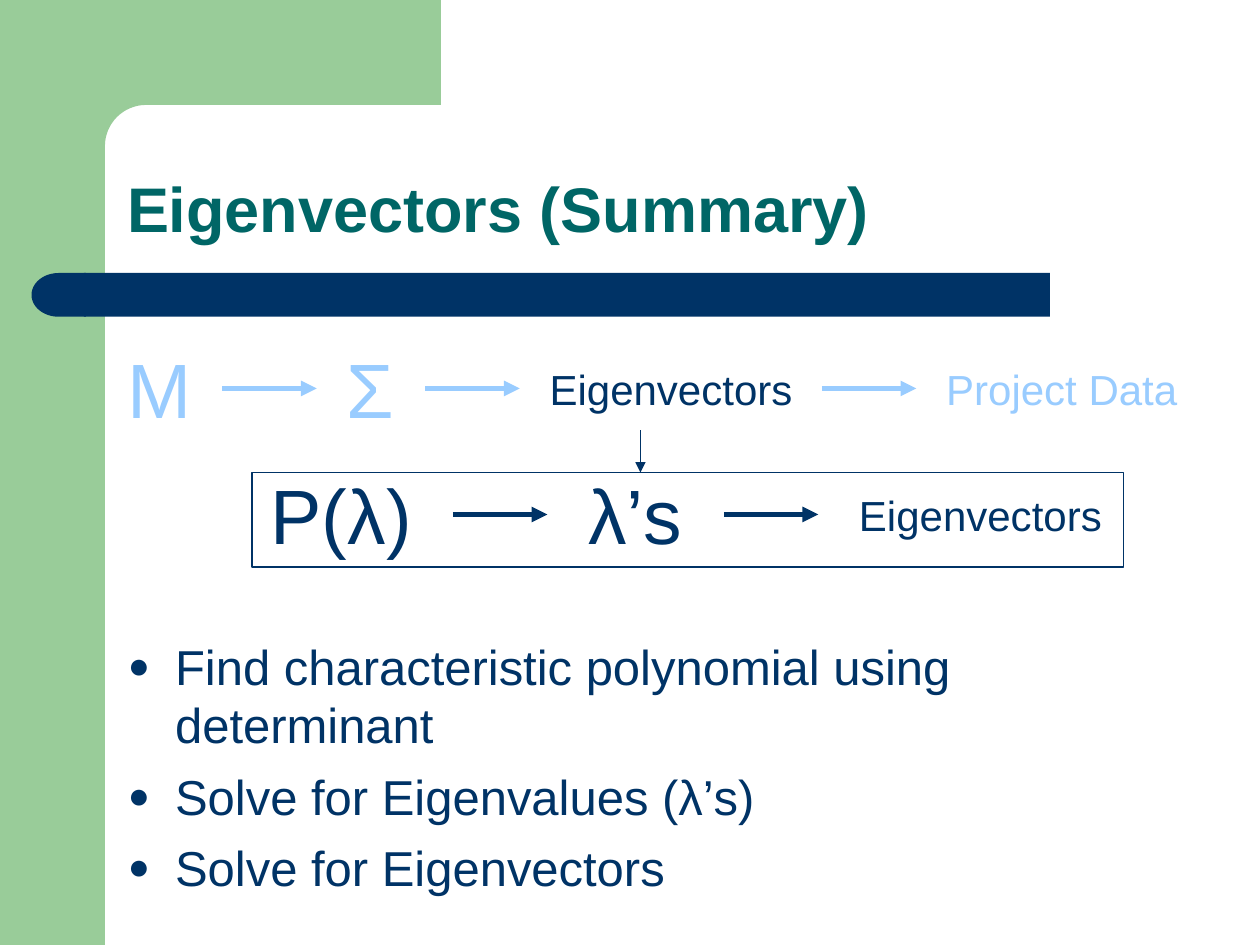
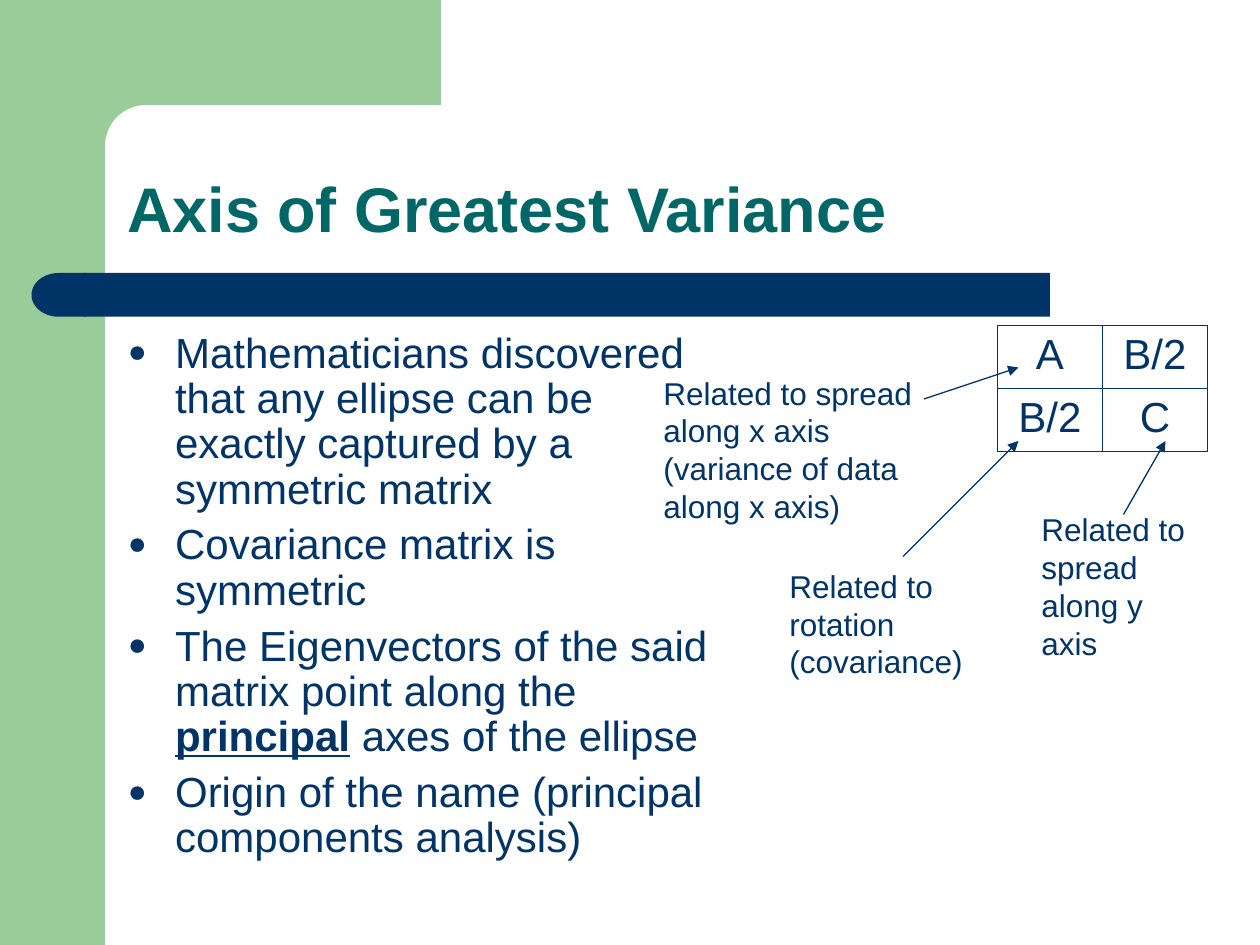
"""Build two lecture slides on eigenvectors and the axis of greatest variance."""
from math import cos, pi, sin

from lxml import etree
from pptx import Presentation
from pptx.dml.color import RGBColor
from pptx.enum.shapes import MSO_CONNECTOR, MSO_SHAPE
from pptx.enum.text import MSO_ANCHOR, PP_ALIGN
from pptx.oxml.ns import qn
from pptx.util import Pt

RECTANGLE, DELAY = MSO_SHAPE.RECTANGLE, MSO_SHAPE.FLOWCHART_DELAY
STRAIGHT = MSO_CONNECTOR.STRAIGHT
TOP, BOTTOM = MSO_ANCHOR.TOP, MSO_ANCHOR.BOTTOM
LEFT, CENTER = PP_ALIGN.LEFT, PP_ALIGN.CENTER

COLORS = {"green": "99CC99", "navy": "003366", "teal": "006666", "pale": "99CCFF"}
FONT = "Arial"
WIDTH, HEIGHT = 720, 540

SUMMARY = {
    "title": "Eigenvectors (Summary)",
    "bullets": ["Find characteristic polynomial using determinant",
                "Solve for Eigenvalues (λ’s)",
                "Solve for Eigenvectors"],
    "flows": [
        {"left": 66, "middle": 222, "gap": 10, "arrow": "pale",
         "steps": [("M", 51, 44, "pale"), ("Σ", 42, 44, "pale"),
                   ("Eigenvectors", 152.6, 24, "navy"), ("Project Data", 146, 24, "pale")]},
        {"left": 147.6, "middle": 294, "gap": 16.2, "arrow": "navy",
         "steps": [("P(λ)", 95, 44, "navy"), ("λ’s", 68.4, 44, "navy"),
                   ("Eigenvectors", 152.6, 24, "navy")]},
    ],
}
VARIANCE = {
    "title": "Axis of Greatest Variance",
    "bullets": ["Mathematicians discovered that any ellipse can be exactly captured by a symmetric matrix",
                "Covariance matrix is symmetric",
                "The Eigenvectors of the said matrix point along the *principal* axes of the ellipse",
                "Origin of the name (principal components analysis)"],
    "matrix": [["A", "B/2"], ["B/2", "C"]],
    "remarks": [
        ("Related to spread along x axis (variance of data along x axis)",
         (372, 210, 168, 94), (528, 228), (582, 210)),
        ("Related to spread along y axis", (588, 288, 108, 94), (642, 294), (666, 252)),
        ("Related to rotation (covariance)", (444, 320.4, 126, 72), (516, 318), (582, 252)),
    ],
}


def points(values):
    return [Pt(value) for value in values]


def color(name):
    return RGBColor.from_string(COLORS[name])


def add_child(parent, tag, **attributes):
    return etree.SubElement(parent, qn(tag), attributes)


def write(frame, text, size=18, ink="navy", bold=False, align=LEFT, anchor=TOP,
          line=1.0, before=0, bullet=False):
    frame.word_wrap = True
    frame.vertical_anchor = anchor
    for number, content in enumerate(text.split("\n")):
        paragraph = frame.add_paragraph() if number else frame.paragraphs[0]
        paragraph.alignment = align
        paragraph.line_spacing = line
        paragraph.space_before = Pt(before)
        for part, words in enumerate(content.split("*")):
            stressed = part % 2 == 1
            run = paragraph.add_run()
            run.text = words
            run.font.name = FONT
            run.font.size = Pt(size)
            run.font.bold = bold or stressed
            run.font.underline = stressed
            run.font.color.rgb = color(ink)
        if bullet:
            properties = paragraph._p.get_or_add_pPr()
            properties.set("marL", str(Pt(27)))
            properties.set("indent", str(-Pt(27)))
            add_child(add_child(properties, "a:buClr"), "a:srgbClr", val=COLORS["navy"])
            add_child(properties, "a:buSzPct", val="75000")
            add_child(properties, "a:buFont", typeface=FONT)
            add_child(properties, "a:buChar", char="●")


def add_text(slide, box, text, **style):
    write(slide.shapes.add_textbox(*points(box)).text_frame, text, **style)


def paint(shape, fill):
    shape.shadow.inherit = False
    shape.fill.solid()
    shape.fill.fore_color.rgb = color(fill)
    shape.line.fill.background()


def add_arrow(slide, start, end, ink="navy", weight=0.75):
    arrow = slide.shapes.add_connector(STRAIGHT, *points(start + end))
    arrow.line.color.rgb = color(ink)
    arrow.line.width = Pt(weight)
    add_child(arrow.line._get_or_add_ln(), "a:tailEnd", type="triangle")
    add_child(arrow._element.spPr, "a:effectLst")


def add_corner(slide):
    center, radius, steps = 83.5, 23.5, 16
    angles = [pi / 2 * step / steps for step in range(steps + 1)]
    curve = [(center - radius * sin(a), center - radius * cos(a)) for a in angles]
    outline = [(252, 60)] + curve + [(60, 92), (36, 92), (36, 0)]
    builder = slide.shapes.build_freeform(Pt(252), 0)
    builder.add_line_segments([points(point) for point in outline])
    paint(builder.convert_to_shape(), "green")


def add_slide(deck, title, bullets, body, **body_style):
    slide = deck.slides.add_slide(deck.slide_layouts[6])
    paint(slide.shapes.add_shape(RECTANGLE, *points((0, 0, 60, HEIGHT))), "green")
    add_corner(slide)
    paint(slide.shapes.add_shape(RECTANGLE, *points((48, 156, 552, 25))), "navy")
    band_end = slide.shapes.add_shape(DELAY, *points((18, 156, 31, 25)))
    band_end.rotation = 180
    paint(band_end, "navy")
    add_text(slide, (65.5, 65.5, 613, 78.5), title, size=36, ink="teal", bold=True,
             anchor=BOTTOM, line=0.9)
    add_text(slide, body, "\n".join(bullets), bullet=True, **body_style)
    return slide


def add_flow(slide, left, middle, gap, arrow, steps):
    arrow_length, slack = 54, 5
    for number, (label, width, size, ink) in enumerate(steps):
        if number:
            start = left + gap
            left = start + arrow_length + gap
            add_arrow(slide, (start, middle), (start + arrow_length, middle), arrow, 3)
        height = 60.5 if size == 44 else 36
        add_text(slide, (left, middle - height / 2, width + slack, height), label,
                 size=size, ink=ink)
        left += width


def add_matrix(slide, rows):
    size = len(rows)
    table = slide.shapes.add_table(size, size, *points((570, 186, 120, 72))).table
    table.first_row = table.horz_banding = False
    for r, row in enumerate(rows):
        for c, entry in enumerate(row):
            cell = table.cell(r, c)
            write(cell.text_frame, entry, size=24, align=CENTER, before=6)
            properties = cell._tc.get_or_add_tcPr()
            outer = {"L": c == 0, "R": c == size - 1, "T": r == 0, "B": r == size - 1}
            for side, is_outer in outer.items():
                weight = Pt(1.08 if is_outer else 0.45)
                border = add_child(properties, f"a:ln{side}", w=str(weight))
                add_child(add_child(border, "a:solidFill"), "a:srgbClr", val=COLORS["navy"])
            cell.fill.background()


def build_summary(deck):
    slide = add_slide(deck, SUMMARY["title"], SUMMARY["bullets"], (66, 360, 606, 161),
                      size=28, before=7)
    for flow in SUMMARY["flows"]:
        add_flow(slide, **flow)
    detail = slide.shapes.add_shape(RECTANGLE, *points((144, 270, 498, 54)))
    detail.shadow.inherit = False
    detail.fill.background()
    detail.line.color.rgb = color("navy")
    detail.line.width = Pt(0.75)
    add_arrow(slide, (366, 246), (366, 270))


def build_variance(deck):
    slide = add_slide(deck, VARIANCE["title"], VARIANCE["bullets"], (66, 186, 360, 336),
                      size=24, line=0.9, before=6)
    add_matrix(slide, VARIANCE["matrix"])
    for remark, box, start, end in VARIANCE["remarks"]:
        add_text(slide, box, remark)
        add_arrow(slide, start, end)


def main():
    deck = Presentation()
    deck.slide_width, deck.slide_height = points((WIDTH, HEIGHT))
    build_summary(deck)
    build_variance(deck)
    deck.save("out.pptx")


if __name__ == "__main__":
    main()
